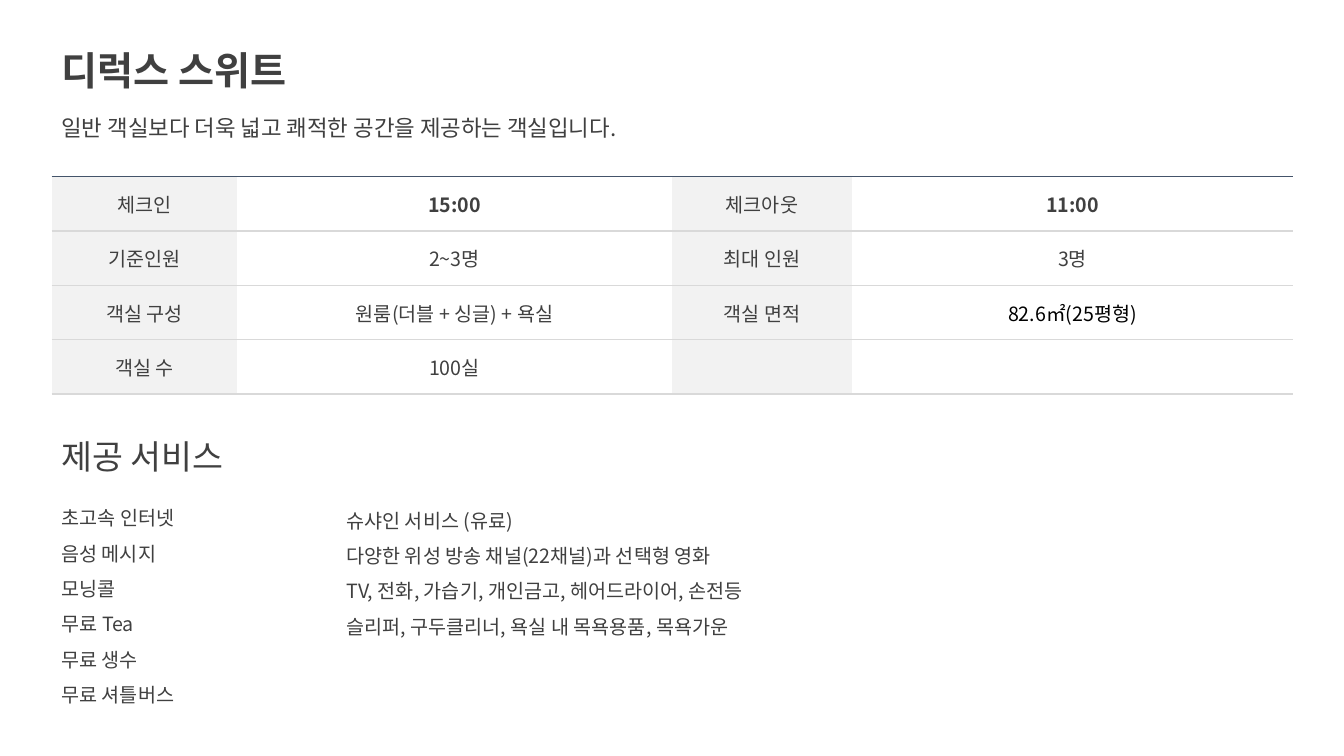
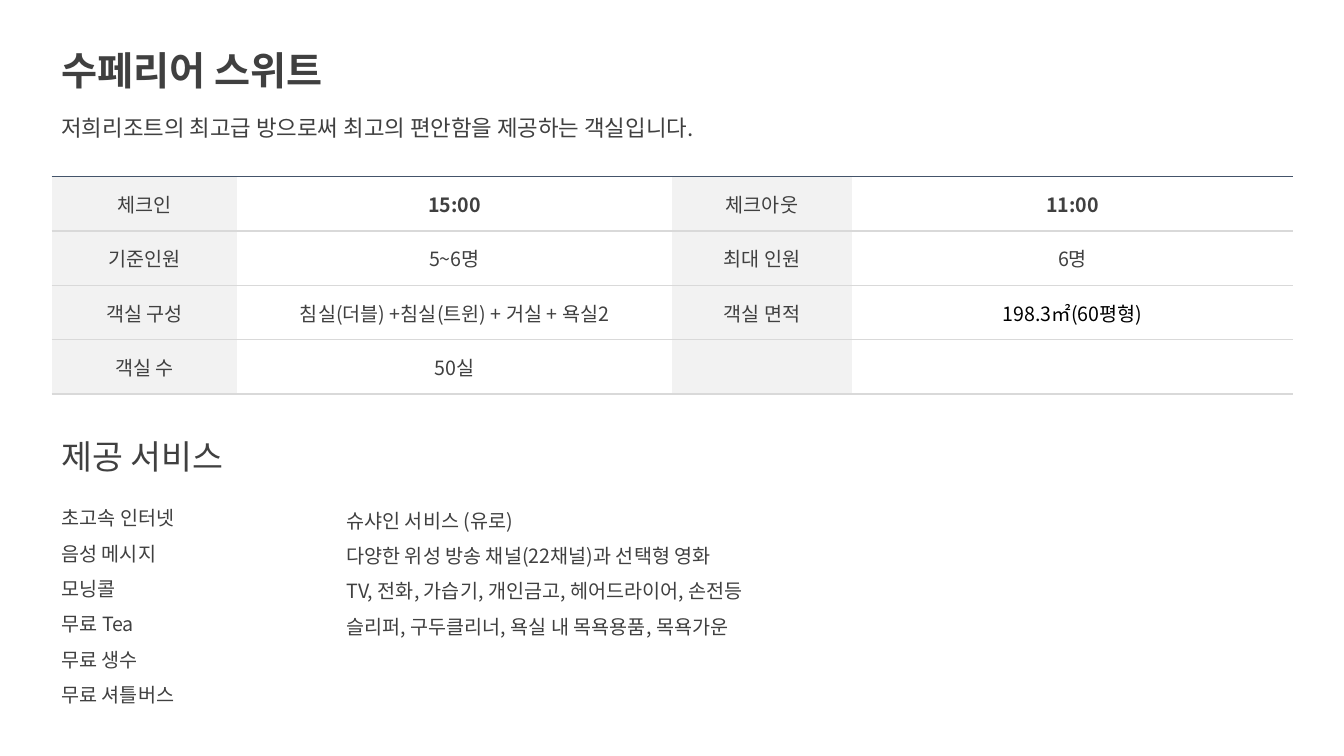
from lxml.etree import SubElement
from pptx import Presentation
from pptx.dml.color import RGBColor
from pptx.enum.text import MSO_ANCHOR, MSO_AUTO_SIZE, PP_ALIGN
from pptx.oxml import parse_xml
from pptx.oxml.ns import nsdecls, qn
from pptx.util import Cm, Pt

FONT = "Noto Sans CJK KR"
COLORS = {"text": "404040", "area": "000000", "label": "F2F2F2",
          "value": "FFFFFF", "rule": "D9D9D9", "top": "44546A"}
LEFT = 1.3
COLS = [4.68, 10.95, 4.55, 11.1]
ROW = 1.37

BASICS = ["초고속 인터넷", "음성 메시지", "모닝콜", "무료 Tea", "무료 생수", "무료 셔틀버스"]
EXTRAS = ["다양한 위성 방송 채널(22채널)과 선택형 영화",
          "TV, 전화, 가습기, 개인금고, 헤어드라이어, 손전등",
          "슬리퍼, 구두클리너, 욕실 내 목욕용품, 목욕가운"]
ROOMS = [
    {"name": "디럭스 스위트",
     "about": "일반 객실보다 더욱 넓고 쾌적한 공간을 제공하는 객실입니다.",
     "guests": "2~3명", "most": "3명", "layout": "원룸(더블 + 싱글) + 욕실",
     "area": "82.6㎡(25평형)", "count": "100실", "shine": "슈샤인 서비스 (유료)"},
    {"name": "수페리어 스위트",
     "about": "저희리조트의 최고급 방으로써 최고의 편안함을 제공하는 객실입니다.",
     "guests": "5~6명", "most": "6명", "layout": "침실(더블) +침실(트윈) + 거실 + 욕실2",
     "area": "198.3㎡(60평형)", "count": "50실", "shine": "슈샤인 서비스 (유로)"},
]


class Deck:
    def __init__(self):
        self.prs = Presentation()
        self.prs.slide_width, self.prs.slide_height = Cm(33.87), Cm(19.05)
        self.slide = None

    def add_run(self, para, text, size, color="text", bold=False):
        run = para.add_run()
        run.text = text
        font = run.font
        font.name, font.size, font.bold = FONT, Pt(size), bold
        font.color.rgb = RGBColor.from_string(COLORS[color])
        SubElement(font._element, qn("a:ea")).set("typeface", FONT)

    def fill_text(self, shape, box, lines, size, bold=False, space=1.0):
        """Place a text shape and write one paragraph for each line."""
        shape.left, shape.top, shape.width, shape.height = map(Cm, box)
        frame = shape.text_frame
        frame.word_wrap = True
        frame.auto_size = MSO_AUTO_SIZE.SHAPE_TO_FIT_TEXT
        frame.vertical_anchor = MSO_ANCHOR.TOP
        for i, line in enumerate(lines):
            para = frame.add_paragraph() if i else frame.paragraphs[0]
            para.alignment = PP_ALIGN.LEFT
            para.line_spacing = space
            self.add_run(para, line, size, bold=bold)

    def start(self, title):
        self.slide = self.prs.slides.add_slide(self.prs.slide_layouts[5])
        box = (LEFT, 1.04, 9.93, 1.45)
        self.fill_text(self.slide.shapes.title, box, [title], 28, bold=True)

    def text(self, box, lines, size, space=1.0, host=None):
        shapes = (host or self.slide).shapes
        shape = shapes.add_textbox(*map(Cm, box))
        self.fill_text(shape, box, lines, size, space=space)

    def lists(self, left, right):
        group = self.slide.shapes.add_group_shape()
        self.text((LEFT, 12.34, 12.42, 5.54), left, 14, 1.5, group)
        self.text((8.48, 12.4, 16.94, 3.84), right, 14, 1.5, group)

    def borders(self, cell, top):
        """Rule a cell above and below, leaving its sides open."""
        props = cell._tc.get_or_add_tcPr()
        sides = [("L", None), ("R", None), ("T", top), ("B", "rule")]
        for i, (side, color) in enumerate(sides):
            paint = "<a:noFill/>"
            if color:
                paint = f'<a:solidFill><a:srgbClr val="{COLORS[color]}"/></a:solidFill>'
            props.insert(i, parse_xml(
                f'<a:ln{side} {nsdecls("a")} w="12700">{paint}</a:ln{side}>'))

    def table(self, rows):
        size = (LEFT, 4.45, sum(COLS), ROW * len(rows))
        table = self.slide.shapes.add_table(
            len(rows), len(COLS), *map(Cm, size)).table
        table.first_row = table.horz_banding = False
        for col, width in zip(table.columns, COLS):
            col.width = Cm(width)
        for r, row in enumerate(rows):
            table.rows[r].height = Cm(ROW)
            for c, text in enumerate(row):
                cell = table.cell(r, c)
                cell.fill.solid()
                kind = "value" if c % 2 else "label"
                cell.fill.fore_color.rgb = RGBColor.from_string(COLORS[kind])
                self.borders(cell, "rule" if r else "top")
                cell.vertical_anchor = MSO_ANCHOR.MIDDLE
                if text:
                    para = cell.text_frame.paragraphs[0]
                    para.alignment = PP_ALIGN.CENTER
                    color = "area" if (r, c) == (2, 3) else "text"
                    self.add_run(para, text, 14, color, r == 0 and c % 2 == 1)

    def room(self, room):
        self.start(room["name"])
        self.text((LEFT, 2.74, 18.95, 0.94), [room["about"]], 16)
        self.table([
            ["체크인", "15:00", "체크아웃", "11:00"],
            ["기준인원", room["guests"], "최대 인원", room["most"]],
            ["객실 구성", room["layout"], "객실 면적", room["area"]],
            ["객실 수", room["count"], "", ""],
        ])
        self.text((LEFT, 10.87, 9.93, 1.27), ["제공 서비스"], 24)
        self.lists(BASICS, [room["shine"], *EXTRAS])


def main():
    deck = Deck()
    for room in ROOMS:
        deck.room(room)
    deck.prs.save("out.pptx")


if __name__ == "__main__":
    main()
